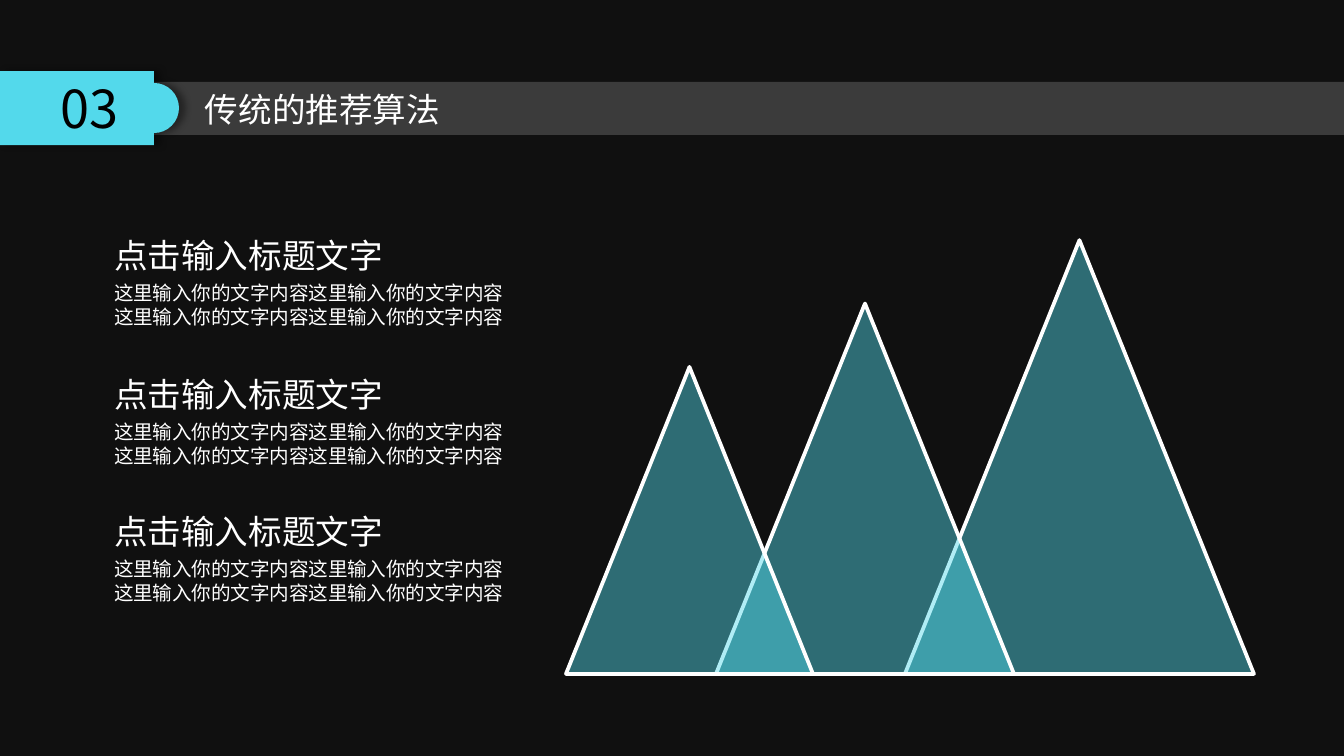
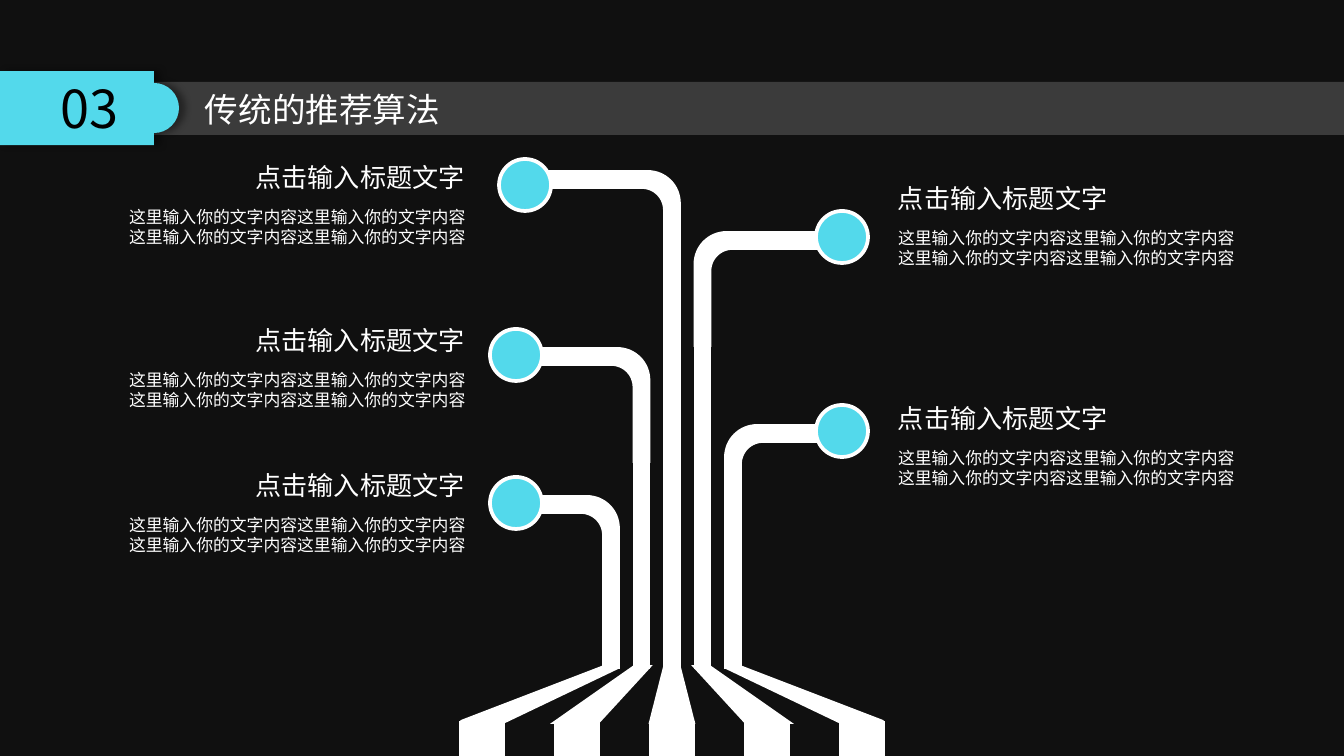
"""Build two dark section-03 slides: overlapping peaks and a branching tree."""
from dataclasses import dataclass
from math import cos, radians, sin

from lxml.etree import SubElement
from pptx import Presentation
from pptx.dml.color import RGBColor
from pptx.enum.shapes import MSO_SHAPE as Preset
from pptx.enum.text import MSO_ANCHOR as Anchor, MSO_AUTO_SIZE as AutoSize, PP_ALIGN as Align
from pptx.oxml.ns import qn
from pptx.util import Pt

SECTION_NUMBER = "03"
SECTION_TITLE = "传统的推荐算法"
HEADING = "点击输入标题文字"
BODY = ["这里输入你的文字内容这里输入你的文字内容"] * 2

NOTE_LEFT, NOTE_TOPS = 100, (228, 367, 504)
PEAK_BASE, PEAK_RATIO = 674, 1.243
PEAKS = [(905, 349), (716, 298), (566, 247)]

LEFT, RIGHT = -1, 1
TREE_CENTER, TRUNK_GAP, FOOT_GAP = 672, 30.5, 95
TRUNK_HALF, FOOT_HALF = 7, 21
TRUNK_END, SPLAY_END, FOOT_TOP = 667, 722, 723
ARM, DROP, OUTER_RADIUS, INNER_RADIUS = 15, 112, 31, 23
NODE = 52
NOTE_EDGE = {LEFT: 479, RIGHT: 884}
BRANCHES = [
    dict(side=LEFT, tip=516, top=497, trunk_top=530, node=(516, 503), note_top=462),
    dict(side=LEFT, tip=512, top=349, trunk_top=380, node=(516, 355), note_top=317),
    dict(side=LEFT, tip=543, top=172, trunk_top=222, node=(525, 185), note_top=154),
    dict(side=RIGHT, tip=831, top=233, trunk_top=276, node=(842, 237), note_top=175),
    dict(side=RIGHT, tip=861, top=426, trunk_top=470, node=(842, 431), note_top=395),
]

WIDTH, HEIGHT = 1344, 756
SCALE = 914400 / 134.4
PX_PER_PT = 134.4 / 72


@dataclass(frozen=True)
class Theme:
    """Colours, fonts and type sizes."""
    ground: str = "101010"
    accent: str = "53D9EB"
    light: str = "FFFFFF"
    dark: str = "000000"
    font: str = "Noto Sans CJK SC"
    number_font: str = "Noto Sans CJK JP"
    number: float = 28
    title: float = 18
    peak_note: tuple = (18, 10.5)
    tree_note: tuple = (14, 9)
    leading: float = 1.2
    outline: float = 2
    inset: int = 14
    inset_y: int = 7
    slack: int = 4


THEME = Theme()


def px(length):
    """Turn px into EMU."""
    return round(length * SCALE)


def paint(shape, color, alpha=100, outline=True):
    """Fill and outline a shape, with sharp corners where it is opaque."""
    shape.shadow.inherit = False
    shape.fill.solid()
    shape.fill.fore_color.rgb = RGBColor.from_string(color)
    if alpha < 100:
        tone = shape.fill._xPr.find(qn("a:solidFill"))[0]
        SubElement(tone, qn("a:alpha"), val=str(alpha * 1000))
    if outline:
        shape.line.color.rgb = RGBColor.from_string(THEME.light)
        shape.line.width = Pt(THEME.outline)
        if alpha == 100:
            SubElement(shape._element.spPr.find(qn("a:ln")), qn("a:miter"), lim="800000")
    else:
        shape.line.fill.background()
    return shape


def add_preset(slide, preset, left, top, width, height, color, **look):
    """Add a painted preset shape."""
    box = map(px, (left, top, width, height))
    return paint(slide.shapes.add_shape(preset, *box), color, **look)


def add_outline(slide, points, color, **look):
    """Add a painted closed outline."""
    start, *rest = [(px(x), px(y)) for x, y in points]
    builder = slide.shapes.build_freeform(*start)
    builder.add_line_segments(rest, close=True)
    return paint(builder.convert_to_shape(), color, **look)


def arc(x, y, radius, start, end, steps=16):
    """Return points along a circular arc, angles in degrees."""
    angles = [radians(start + (end - start) * i / steps) for i in range(steps + 1)]
    return [(x + radius * cos(a), y + radius * sin(a)) for a in angles]


def write(shape, lines, size, align=Align.LEFT, color=THEME.light, font=THEME.font):
    """Write evenly styled lines into a shape."""
    frame = shape.text_frame
    frame.margin_left = frame.margin_right = px(THEME.inset)
    frame.margin_top = frame.margin_bottom = px(THEME.inset_y)
    frame.text = "\n".join(lines)
    for paragraph in frame.paragraphs:
        paragraph.alignment = align
        paragraph.line_spacing = Pt(size * THEME.leading)
        paragraph.font.size = Pt(size)
        paragraph.font.name = font
        paragraph.font.color.rgb = RGBColor.from_string(color)
        defaults = paragraph._p.pPr.find(qn("a:defRPr"))
        SubElement(defaults, qn("a:ea"), typeface=font)
    return frame


def add_label(slide, edge, top, lines, size, side=RIGHT):
    """Add a text box that runs to the given side of an edge."""
    width = max(map(len, lines)) * size * PX_PER_PT + 2 * THEME.inset + THEME.slack
    height = len(lines) * size * THEME.leading * PX_PER_PT + 2 * THEME.inset_y
    left = edge - width if side == LEFT else edge
    label = slide.shapes.add_textbox(*map(px, (left, top, width, height)))
    frame = write(label, lines, size, Align.RIGHT if side == LEFT else Align.LEFT)
    frame.word_wrap = False
    frame.auto_size = AutoSize.SHAPE_TO_FIT_TEXT


def add_note(slide, edge, top, sizes, side=RIGHT):
    """Add a heading with its body text."""
    add_label(slide, edge, top, [HEADING], sizes[0], side)
    add_label(slide, edge, top + 46, BODY, sizes[1], side)


def add_section_slide(deck):
    """Add a slide with the section band, number and title."""
    slide = deck.slides.add_slide(deck.slide_layouts[6])
    add_preset(slide, Preset.RECTANGLE, 0, 82, WIDTH, 53, THEME.light, alpha=18, outline=False)
    tab = [(0, 71), (154, 71), *arc(154, 108, 25, -90, 90), (154, 145), (0, 145)]
    badge = add_outline(slide, tab, THEME.accent, outline=False)
    effects = badge._element.spPr.find(qn("a:effectLst"))
    shadow = SubElement(effects, qn("a:outerShdw"), blurRad=str(Pt(4)), dist=str(Pt(3)),
                        dir="0", algn="l", rotWithShape="0")
    tone = SubElement(shadow, qn("a:srgbClr"), val=THEME.dark)
    SubElement(tone, qn("a:alpha"), val="40000")
    number = write(badge, [SECTION_NUMBER], THEME.number, Align.CENTER,
                   THEME.dark, THEME.number_font)
    number.vertical_anchor = Anchor.MIDDLE
    add_label(slide, 191, 82, [SECTION_TITLE], THEME.title)
    return slide


def add_peaks(deck):
    """Build the slide of overlapping peaks."""
    slide = add_section_slide(deck)
    for left, width in PEAKS:
        height = width * PEAK_RATIO
        add_preset(slide, Preset.ISOSCELES_TRIANGLE, left, PEAK_BASE - height, width, height,
                   THEME.accent, alpha=46)
    for top in NOTE_TOPS:
        add_note(slide, NOTE_LEFT, top, THEME.peak_note)


def elbow(trunk, side, tip, top):
    """Return the outline of an arm that bends down into its trunk."""
    outer, inner = trunk - side * TRUNK_HALF, trunk + side * TRUNK_HALF
    bend = -90 - 90 * side
    return [
        (tip, top),
        *arc(outer + side * OUTER_RADIUS, top + OUTER_RADIUS, OUTER_RADIUS, -90, bend),
        (outer, top + DROP), (inner, top + DROP),
        *arc(inner + side * INNER_RADIUS, top + ARM + INNER_RADIUS, INNER_RADIUS, bend, -90),
        (tip, top + ARM),
    ]


def add_tree(deck):
    """Build the slide of the branching tree."""
    slide = add_section_slide(deck)
    steps = [i - len(BRANCHES) // 2 for i in range(len(BRANCHES))]
    trunks = [TREE_CENTER + step * TRUNK_GAP for step in steps]
    feet = [TREE_CENTER + step * FOOT_GAP for step in steps]
    for foot in feet:
        add_preset(slide, Preset.RECTANGLE, foot - FOOT_HALF, FOOT_TOP,
                   2 * FOOT_HALF, HEIGHT - FOOT_TOP, THEME.light)
    for foot, trunk in zip(feet, trunks):
        splay = [(foot - FOOT_HALF, SPLAY_END), (trunk - TRUNK_HALF, TRUNK_END),
                 (trunk + TRUNK_HALF, TRUNK_END), (foot + FOOT_HALF, SPLAY_END)]
        add_outline(slide, splay, THEME.light)
    for trunk, branch in zip(trunks, BRANCHES):
        add_preset(slide, Preset.RECTANGLE, trunk - TRUNK_HALF, branch["trunk_top"],
                   2 * TRUNK_HALF, TRUNK_END - branch["trunk_top"], THEME.light)
        add_outline(slide, elbow(trunk, branch["side"], branch["tip"], branch["top"]), THEME.light)
    for branch in BRANCHES:
        x, y = branch["node"]
        add_preset(slide, Preset.OVAL, x - NODE / 2, y - NODE / 2, NODE, NODE, THEME.accent)
        side = branch["side"]
        add_note(slide, NOTE_EDGE[side], branch["note_top"], THEME.tree_note, side)


def main():
    """Build and save the deck."""
    deck = Presentation()
    deck.slide_width, deck.slide_height = px(WIDTH), px(HEIGHT)
    ground = deck.slide_master.background.fill
    ground.solid()
    ground.fore_color.rgb = RGBColor.from_string(THEME.ground)
    add_peaks(deck)
    add_tree(deck)
    deck.save("out.pptx")


if __name__ == "__main__":
    main()
